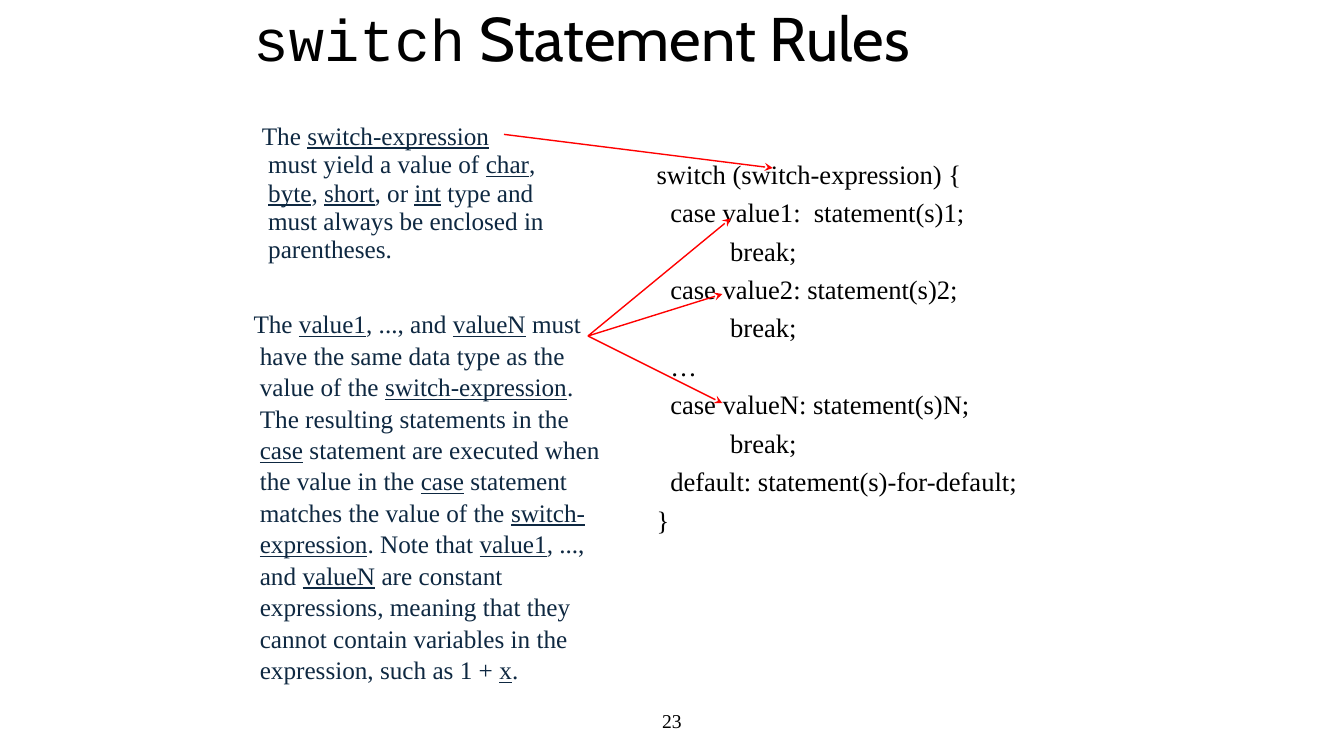
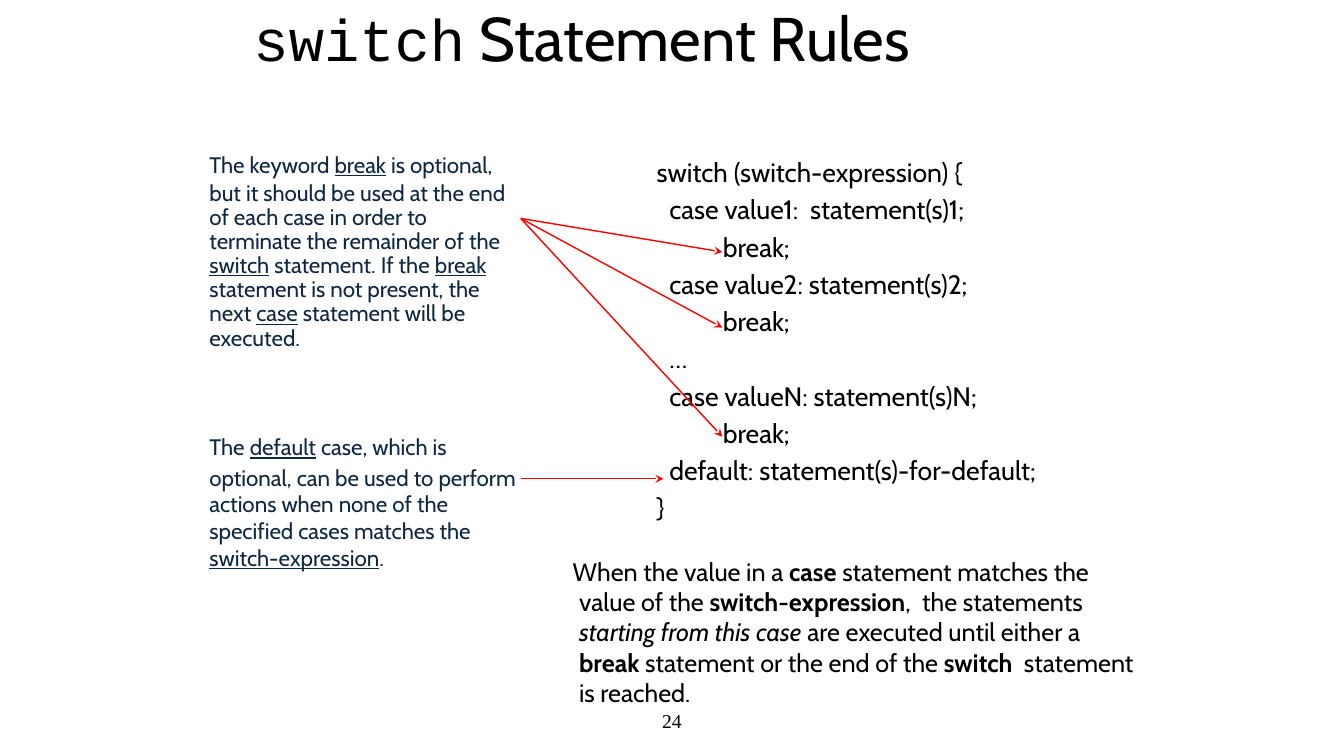
import lxml.etree
import pptx
import pptx.dml.color
import pptx.enum.shapes
import pptx.enum.text
import pptx.oxml.ns
import pptx.util

PX = 9525
BLACK = pptx.dml.color.RGBColor(0x00, 0x00, 0x00)
NAVY = pptx.dml.color.RGBColor(0x0E, 0x28, 0x41)
RED = pptx.dml.color.RGBColor(0xFF, 0x00, 0x00)
SANS = "Cabin"
SERIF = "Times New Roman"
MONO = "Courier New"
SERIF_STRETCH = 1.04
MIDDLE = pptx.enum.text.MSO_ANCHOR.MIDDLE

TITLE_BOX = (232, 0, 816, 80)
NUMBER_BOX = (424, 667, 432, 38)
CODE_BOX = (616, 144, 384, 400)
HANGING = 6
MARKS = {"_": "underline", "*": "bold", "~": "italic"}
CODE_INDENTS = {SERIF: (0, 13, 70), SANS: (0, 12, 63)}
CODE_LINES = [
    (0, "switch (switch-expression) {"),
    (1, "case value1:  statement(s)1;"),
    (2, "break;"),
    (1, "case value2: statement(s)2;"),
    (2, "break;"),
    (1, "…"),
    (1, "case valueN: statement(s)N;"),
    (2, "break;"),
    (1, "default: statement(s)-for-default;"),
    (0, "}"),
]


def add_text_box(slide, box, anchor=pptx.enum.text.MSO_ANCHOR.TOP):
    shape = slide.shapes.add_textbox(*(value * PX for value in box))
    frame = shape.text_frame
    frame.word_wrap = True
    frame.vertical_anchor = anchor
    return frame


def set_font(font, name, size, color):
    font.name = name
    font.size = pptx.util.Pt(size)
    font.color.rgb = color


def set_indent(paragraph, left, first=0):
    properties = paragraph._p.get_or_add_pPr()
    properties.set("marL", str(left * PX))
    properties.set("indent", str(first * PX))


def add_marked_text(paragraph, text):
    for index, piece in enumerate(text.split("|")):
        if not piece:
            continue
        run = paragraph.add_run()
        if index % 2:
            setattr(run.font, MARKS[piece[0]], True)
            piece = piece[1:]
        run.text = piece


def add_title(slide, box):
    paragraph = add_text_box(slide, box, MIDDLE).paragraphs[0]
    paragraph.line_spacing = 0.9
    for text, name, size in (("switch", MONO, 42), (" Statement Rules", SANS, 44)):
        run = paragraph.add_run()
        run.text = text
        set_font(run.font, name, size, BLACK)


def add_number(slide, box, number):
    paragraph = add_text_box(slide, box, MIDDLE).paragraphs[0]
    paragraph.text = str(number)
    paragraph.alignment = pptx.enum.text.PP_ALIGN.CENTER
    set_font(paragraph.font, SERIF, 14, BLACK)


def add_code(slide, box, font_name):
    frame = add_text_box(slide, box)
    for index, (level, text) in enumerate(CODE_LINES):
        paragraph = frame.add_paragraph() if index else frame.paragraphs[0]
        paragraph.text = text
        paragraph.space_before = pptx.util.Pt(3.8)
        if font_name == SERIF:
            paragraph.line_spacing = SERIF_STRETCH
        set_font(paragraph.font, font_name, 19, BLACK)
        set_indent(paragraph, CODE_INDENTS[font_name][level])


def add_note(slide, box, text, font_name, size, color=NAVY, spacing=1.0, tab_size=None):
    paragraph = add_text_box(slide, box).paragraphs[0]
    paragraph.line_spacing = spacing
    set_font(paragraph.font, font_name, size, color)
    set_indent(paragraph, HANGING, -HANGING)
    if tab_size:
        run = paragraph.add_run()
        run.text = "\t"
        run.font.size = pptx.util.Pt(tab_size)
    add_marked_text(paragraph, text)


def add_arrows(slide, note_box, start, code_box, ends):
    for end in ends:
        connector = slide.shapes.add_connector(
            pptx.enum.shapes.MSO_CONNECTOR.STRAIGHT,
            (note_box[0] + start[0]) * PX, (note_box[1] + start[1]) * PX,
            (code_box[0] + end[0]) * PX, (code_box[1] + end[1]) * PX)
        connector.line.color.rgb = RED
        connector.line.width = pptx.util.Pt(1)
        line = connector.line._get_or_add_ln()
        lxml.etree.SubElement(line, pptx.oxml.ns.qn("a:tailEnd"), type="stealth")
        lxml.etree.SubElement(connector._element.spPr, pptx.oxml.ns.qn("a:effectLst"))


def add_rules_slide(presentation, number, code_font):
    slide = presentation.slides.add_slide(presentation.slide_layouts[6])
    add_number(slide, NUMBER_BOX, number)
    add_title(slide, TITLE_BOX)
    add_code(slide, CODE_BOX, code_font)
    return slide


def build_values_slide(presentation):
    slide = add_rules_slide(presentation, 23, SERIF)
    expression_box = (240, 112, 288, 136)
    add_note(
        slide, expression_box,
        "The |_switch-expression| must yield a value of |_char|, |_byte|, |_short|, "
        "or |_int| type and must always be enclosed in parentheses.",
        SERIF, 18, spacing=0.94)
    add_arrows(slide, expression_box, (240, 16), CODE_BOX, [(120, 16)])
    values_box = (232, 288, 360, 360)
    add_note(
        slide, values_box,
        "The |_value1|, ..., and |_valueN| must have the same data type as the value "
        "of the |_switch-expression|. The resulting statements in the |_case| statement "
        "are executed when the value in the |_case| statement matches the value of the "
        "|_switch-expression|. Note that |_value1|, ..., and |_valueN| are constant "
        "expressions, meaning that they cannot contain variables in the expression, "
        "such as 1 + |_x|.",
        SERIF, 18, spacing=SERIF_STRETCH)
    add_arrows(slide, values_box, (328, 32), CODE_BOX, [(80, 64), (72, 136), (72, 240)])


def build_break_slide(presentation):
    slide = add_rules_slide(presentation, 24, SANS)
    break_box = (184, 128, 320, 216)
    add_note(
        slide, break_box,
        "The keyword |_break| is optional, but it should be used at the end of each "
        "case in order to terminate the remainder of the |_switch| statement. If the "
        "|_break| statement is not present, the next |_case| statement will be executed.",
        SANS, 16, spacing=0.9, tab_size=28)
    add_arrows(slide, break_box, (312, 80), CODE_BOX, [(72, 96), (72, 168), (72, 272)])
    default_box = (184, 392, 320, 160)
    add_note(
        slide, default_box,
        "The |_default| case, which is optional, can be used to perform actions when "
        "none of the specified cases matches the |_switch-expression|.",
        SANS, 16, tab_size=28)
    add_arrows(slide, default_box, (312, 64), CODE_BOX, [(16, 312)])
    add_note(
        slide, (536, 525, 560, 138),
        "When the value in a |*case| statement matches the value of the "
        "|*switch-expression|,  the statements |~starting from this case| are executed "
        "until either a |*break| statement or the end of the |*switch|  statement is "
        "reached.",
        SANS, 18, color=BLACK)


def main():
    presentation = pptx.Presentation()
    presentation.slide_width = 1280 * PX
    presentation.slide_height = 720 * PX
    build_values_slide(presentation)
    build_break_slide(presentation)
    presentation.save("out.pptx")


if __name__ == "__main__":
    main()
